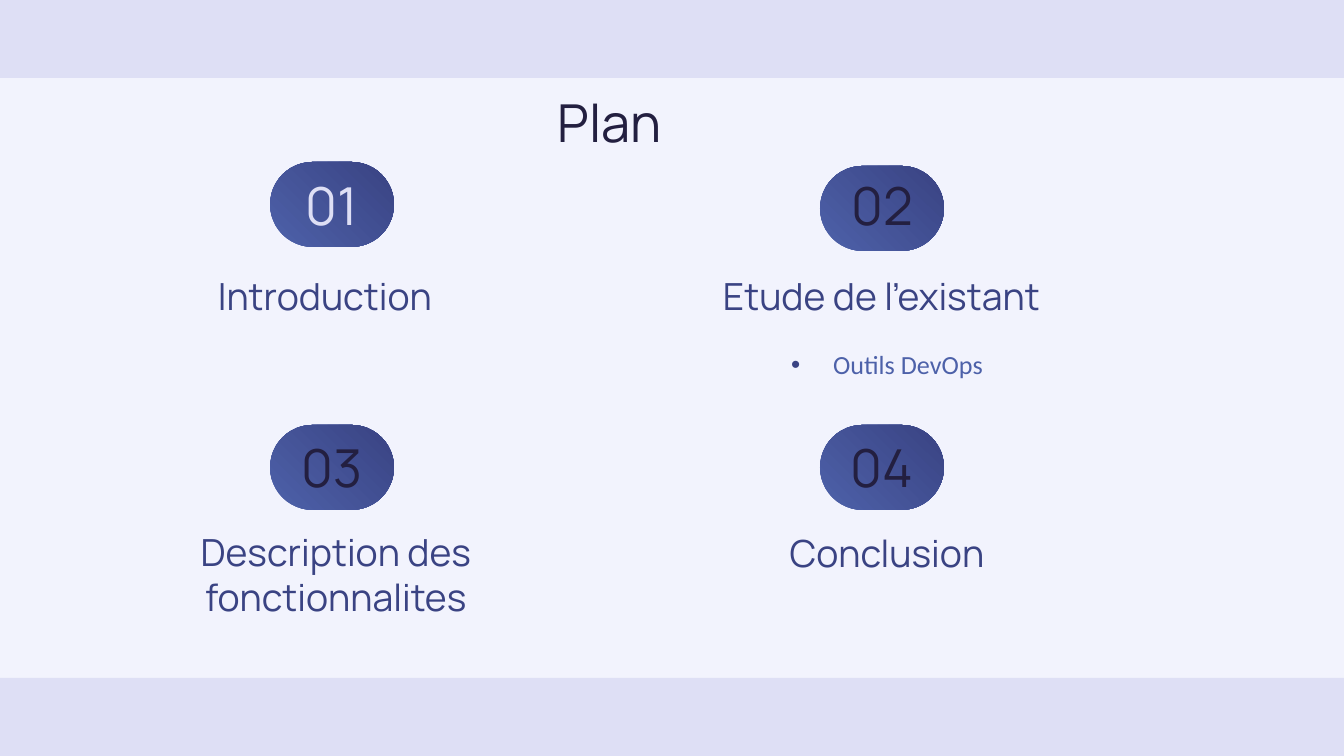
from lxml import etree
from pptx import Presentation
from pptx.dml.color import RGBColor
from pptx.enum.shapes import MSO_SHAPE as SHAPE
from pptx.enum.text import MSO_ANCHOR as ANCHOR, PP_ALIGN as ALIGN
from pptx.oxml.ns import qn
from pptx.util import Emu, Pt

BACK = RGBColor(0xF2, 0xF3, 0xFD)
LILAC = RGBColor(0xDE, 0xDF, 0xF5)
BLUE = RGBColor(0x4D, 0x61, 0xA9)
INDIGO = RGBColor(0x3A, 0x43, 0x83)
INK = RGBColor(0x23, 0x1F, 0x40)

SCALE = 914400 / 134.4
WIDTH, HEIGHT, BAND_H = 1344, 756, 78
PILL_W, PILL_H = 124, 85
NUMBER_H, HEADING_H = 50, 65
INSET, INDENT = 12, 42

NUMBER = {"name": "Manrope", "size": Pt(28)}
HEADING = {"name": "Manrope", "size": Pt(20)}
BULLET = {"name": "Calibri", "size": Pt(14)}

TITLE = ("Plan", (106, 79, 1007, 85))
BULLET_ITEM = ("Outils DevOps", (715, 329, 344, 71))
SECTIONS = [
    {"number": "01", "color": LILAC, "pill": (270, 162), "number_y": 180,
     "heading": "Introduction", "at": (153, 263), "width": 344},
    {"number": "02", "color": INK, "pill": (820, 166), "number_y": 180,
     "heading": "Etude de l’existant", "at": (680, 263), "width": 403},
    {"number": "03", "color": INK, "pill": (270, 425), "number_y": 442,
     "heading": "Description des fonctionnalites", "at": (164, 542), "width": 344},
    {"number": "04", "color": INK, "pill": (820, 425), "number_y": 442,
     "heading": "Conclusion", "at": (715, 520), "width": 344},
]


def px(n):
    return Emu(round(n * SCALE))


def add_shape(s, kind, box):
    sp = s.shapes.add_shape(kind, *map(px, box))
    sp.shadow.inherit = False
    sp.line.fill.background()
    return sp


def add_band(s, y):
    sp = add_shape(s, SHAPE.RECTANGLE, (0, y, WIDTH, BAND_H))
    sp.fill.solid()
    sp.fill.fore_color.rgb = LILAC


def add_pill(s, x, y):
    sp = add_shape(s, SHAPE.ROUNDED_RECTANGLE, (x, y, PILL_W, PILL_H))
    sp.adjustments[0] = 0.5
    sp.fill.gradient()
    sp.fill.gradient_angle = 45
    for stop, color in zip(sp.fill.gradient_stops, (BLUE, INDIGO)):
        stop.color.rgb = color


def add_text(s, text, box, style, color):
    tf = s.shapes.add_textbox(*map(px, box)).text_frame
    tf.word_wrap = True
    tf.vertical_anchor = ANCHOR.MIDDLE
    for side in ("left", "top", "right", "bottom"):
        setattr(tf, f"margin_{side}", px(INSET))
    p = tf.paragraphs[0]
    p.alignment = ALIGN.CENTER
    r = p.add_run()
    r.text = text
    for key, value in style.items():
        setattr(r.font, key, value)
    r.font.color.rgb = color
    return p


def add_bullet(p):
    props = p._p.get_or_add_pPr()
    props.set("marL", str(px(INDENT)))
    props.set("indent", str(-px(INDENT)))
    color = etree.SubElement(props, qn("a:buClr"))
    etree.SubElement(color, qn("a:srgbClr"), val=str(INDIGO))
    etree.SubElement(props, qn("a:buFont"), typeface="Arial")
    etree.SubElement(props, qn("a:buChar"), char="•")


def main():
    prs = Presentation()
    prs.slide_width, prs.slide_height = px(WIDTH), px(HEIGHT)
    s = prs.slides.add_slide(prs.slide_layouts[6])
    s.background.fill.solid()
    s.background.fill.fore_color.rgb = BACK
    for y in (0, HEIGHT - BAND_H):
        add_band(s, y)
    add_text(s, *TITLE, NUMBER, INK)
    for section in SECTIONS:
        x, y = section["pill"]
        add_pill(s, x, y)
        add_text(s, section["number"], (x, section["number_y"], PILL_W, NUMBER_H),
                 NUMBER, section["color"])
        add_text(s, section["heading"], (*section["at"], section["width"], HEADING_H),
                 HEADING, INDIGO)
    add_bullet(add_text(s, *BULLET_ITEM, BULLET, BLUE))
    prs.save("out.pptx")


if __name__ == "__main__":
    main()
